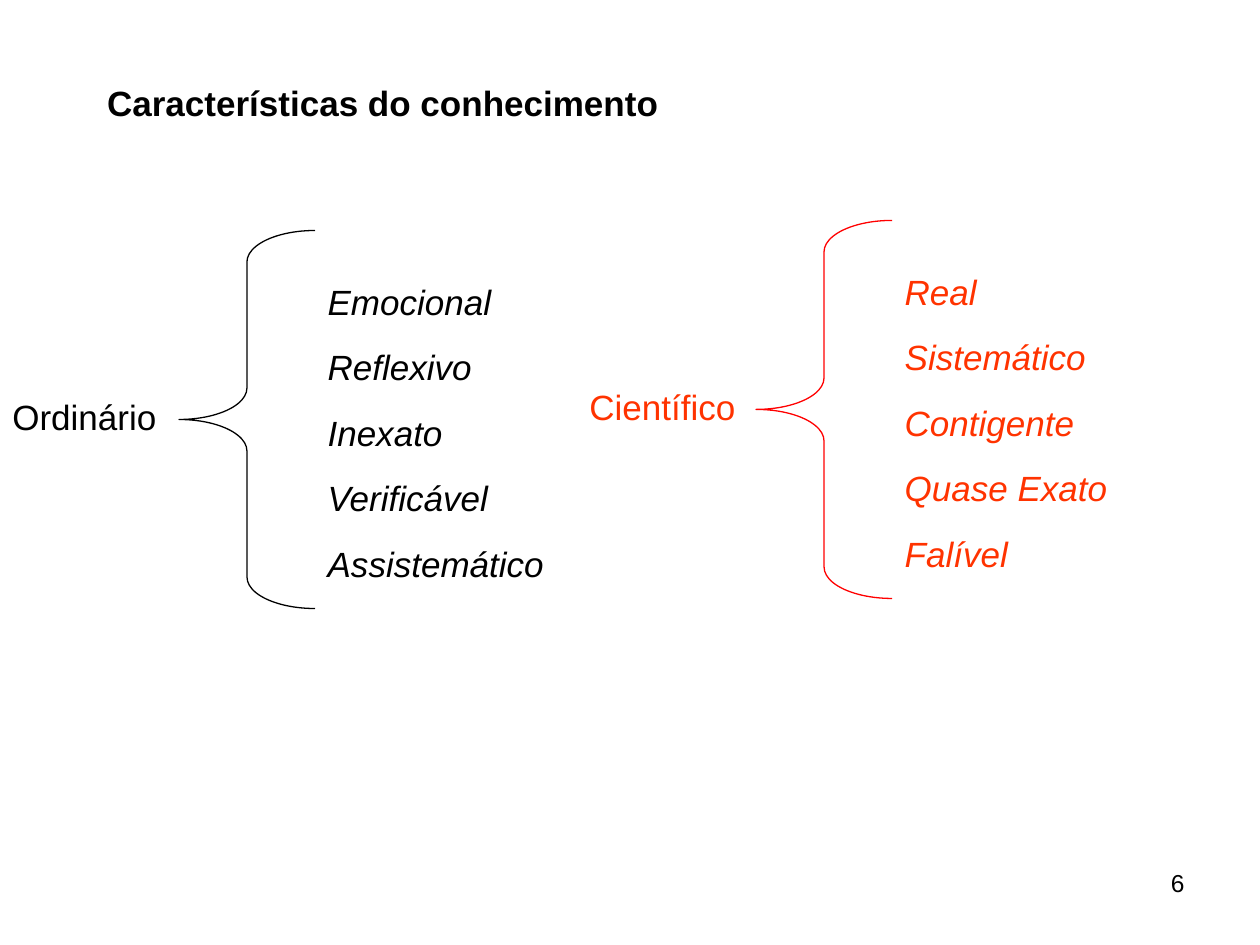
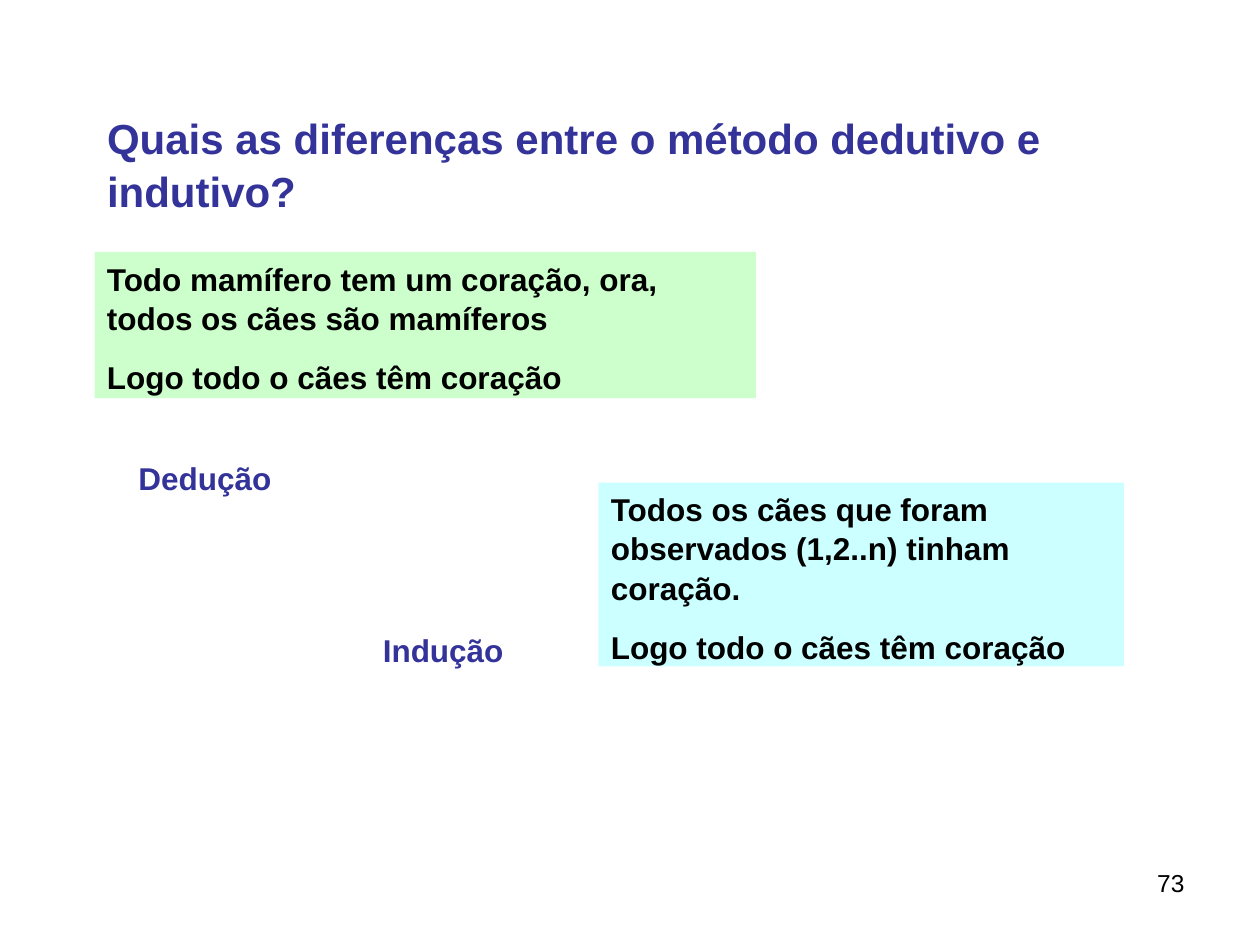
import dataclasses

import lxml.etree
import pptx
import pptx.dml.color
import pptx.enum.shapes
import pptx.enum.text
import pptx.oxml.ns
import pptx.util

Inches = pptx.util.Inches
Pt = pptx.util.Pt
RGB = pptx.dml.color.RGBColor.from_string
Align = pptx.enum.text.PP_ALIGN
Shape = pptx.enum.shapes.MSO_SHAPE


@dataclasses.dataclass(frozen=True)
class Theme:
    font: str = "Arial"
    black: str = "000000"
    orange: str = "FF3300"
    red: str = "FF0000"
    indigo: str = "333399"
    green: str = "CCFFCC"
    cyan: str = "CCFFFF"
    question: int = 24
    heading: int = 20
    body: int = 18
    number: int = 14
    line_spacing: float = 1.04
    space_ratio: float = 0.625


theme = Theme()


def place(sp, left, top, width, height):
    sp.left, sp.top = Inches(left), Inches(top)
    sp.width, sp.height = Inches(width), Inches(height)


def write(sp, lines, size, color=theme.black, bold=False, italic=False, align=Align.LEFT):
    """Fill a shape with one plain, unbulleted paragraph per line."""
    tf = sp.text_frame
    tf.word_wrap = True
    tf.auto_size = pptx.enum.text.MSO_AUTO_SIZE.NONE
    tf.vertical_anchor = pptx.enum.text.MSO_ANCHOR.TOP
    for i, line in enumerate(lines):
        p = tf.add_paragraph() if i else tf.paragraphs[0]
        if sp.is_placeholder:
            pPr = p._p.get_or_add_pPr()
            pPr.set("marL", "0")
            pPr.set("indent", "0")
            lxml.etree.SubElement(pPr, pptx.oxml.ns.qn("a:buNone"))
        p.alignment = align
        p.line_spacing = theme.line_spacing
        p.space_before = Pt(size * theme.space_ratio if i else 0)
        r = p.add_run()
        r.text = line
        r.font.name = theme.font
        r.font.size = Pt(size)
        r.font.bold = bold
        r.font.italic = italic
        r.font.color.rgb = RGB(color)


prs = pptx.Presentation()
prs.slide_width, prs.slide_height = Inches(10), Inches(7.5)

# Titles and page numbers
TWO_CONTENT, TITLE_ONLY = 3, 5
pages = [
    (TWO_CONTENT, "Características do conhecimento", theme.heading, theme.black,
     (0.75, 0.58, 7.17, 0.44), "6"),
    (TITLE_ONLY, "Quais as diferenças entre o método dedutivo e indutivo?",
     theme.question, theme.indigo, (0.75, 0.83, 8.42, 0.9), "73"),
]
slides = []
for layout, title, size, color, box, number in pages:
    s = prs.slides.add_slide(prs.slide_layouts[layout])
    place(s.shapes.title, *box)
    write(s.shapes.title, [title], size, color, bold=True)
    sp = s.shapes.add_textbox(Inches(7.17), Inches(6.83), Inches(2.33), Inches(0.52))
    write(sp, [number], theme.number, align=Align.RIGHT)
    slides.append(s)
knowledge, methods = slides

# Slide 1: two kinds of knowledge, each a label, a brace and a list of traits
kinds = [
    ("Ordinário", 0, 1.83, theme.black, theme.black,
     ["Emocional", "Reflexivo", "Inexato", "Verificável", "Assistemático"]),
    ("Científico", 4.58, 1.75, theme.orange, theme.red,
     ["Real", "Sistemático", "Contigente", "Quase Exato", "Falível"]),
]
for idx, (label, left, top, color, brace_color, traits) in enumerate(kinds, start=1):
    sp = knowledge.shapes.add_textbox(
        Inches(left), Inches(top + 1.25), Inches(2.67), Inches(0.44))
    write(sp, [label], theme.heading, color)

    brace = knowledge.shapes.add_shape(
        Shape.LEFT_BRACE, Inches(left + 1.42), Inches(top), Inches(1.08), Inches(3))
    brace.adjustments[0] = 0.25 / 1.08
    brace.shadow.inherit = False
    brace.fill.background()
    brace.line.color.rgb = RGB(brace_color)
    brace.line.width = Pt(0.75)

    sp = knowledge.placeholders[idx]
    place(sp, left + 2.5, top + 0.33, 2.42, 2.46)
    write(sp, traits, theme.heading, color, italic=True)

# Slide 2: a worked example and a label for each method
conclusion = "Logo todo o cães têm coração"
examples = [
    ("Todo mamífero tem um coração, ora, todos os cães são mamíferos",
     theme.green, (0.75, 2, 5.25, 1.16), "Dedução", (1, 3.58)),
    ("Todos os cães que foram observados (1,2..n) tinham coração.",
     theme.cyan, (4.75, 3.83, 4.17, 1.46), "Indução", (2.94, 4.95)),
]
for premise, fill, box, method, (left, top) in examples:
    sp = methods.shapes.add_shape(Shape.RECTANGLE, *map(Inches, box))
    sp.shadow.inherit = False
    sp.fill.solid()
    sp.fill.fore_color.rgb = RGB(fill)
    sp.line.fill.background()
    write(sp, [premise, conclusion], theme.body, bold=True)

    sp = methods.shapes.add_textbox(Inches(left), Inches(top), Inches(1.6), Inches(0.4))
    write(sp, [method], theme.body, theme.indigo, bold=True)

prs.save("out.pptx")
